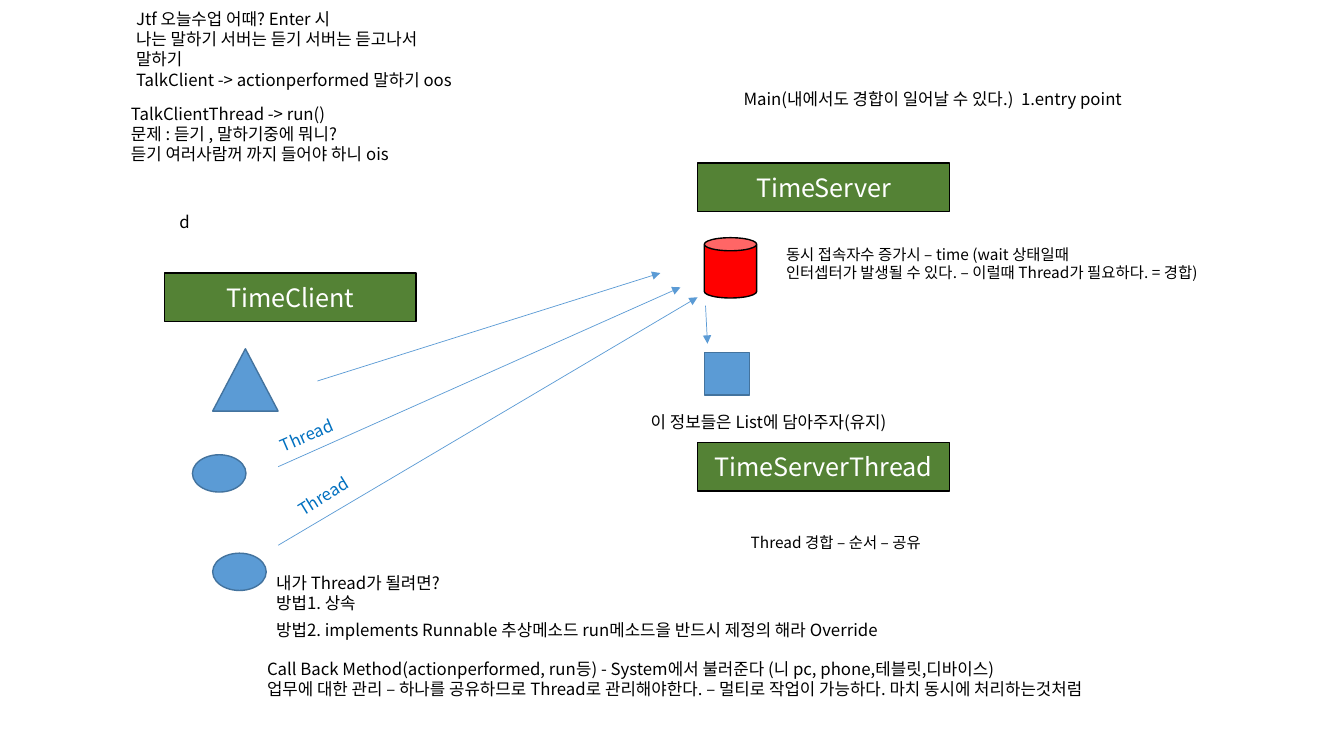
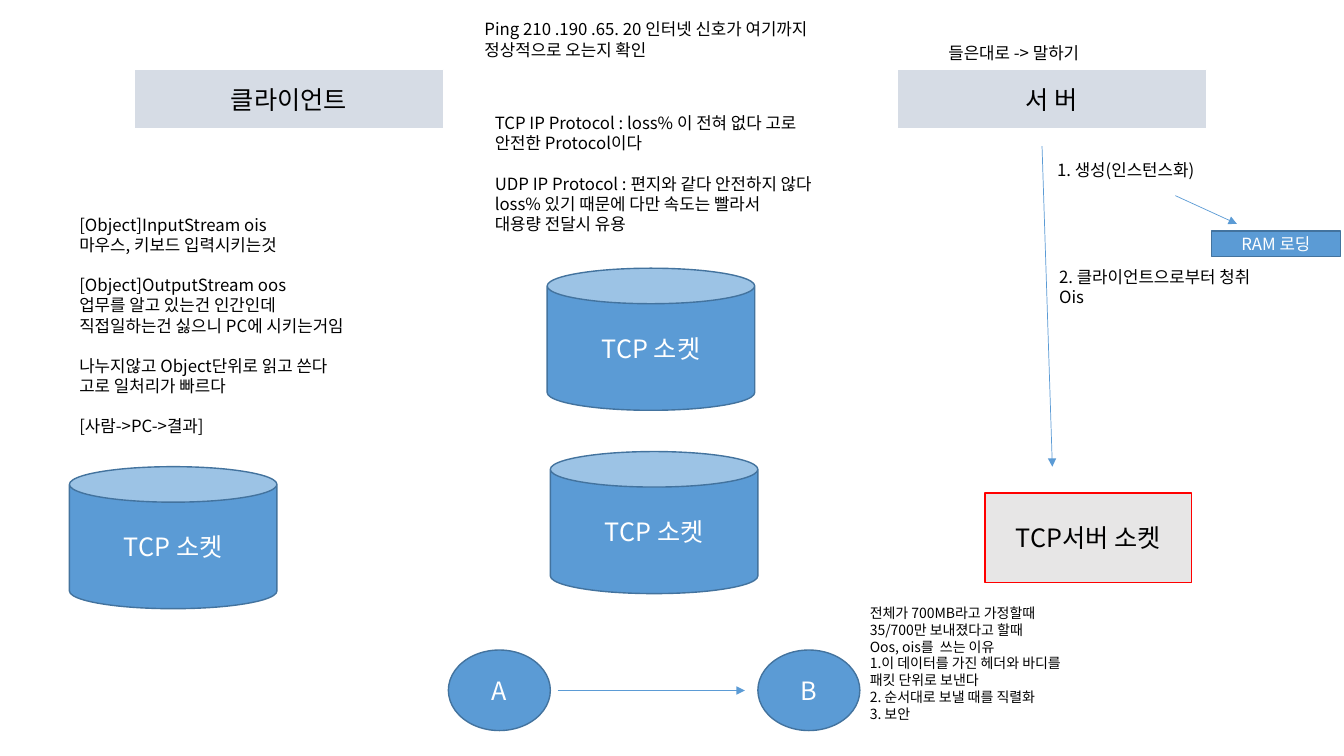
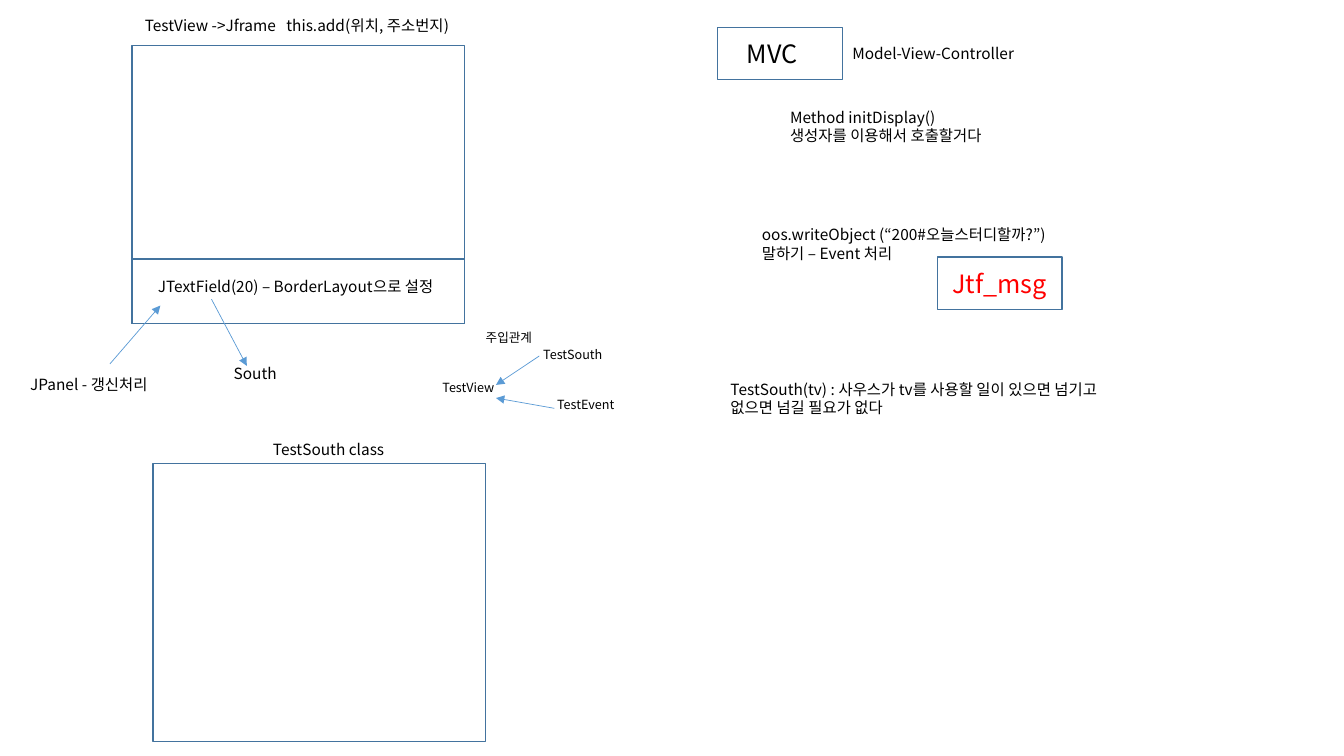
from lxml.etree import SubElement
from pptx import Presentation
from pptx.dml.color import RGBColor
from pptx.enum.shapes import MSO_CONNECTOR, MSO_SHAPE
from pptx.enum.text import MSO_ANCHOR, MSO_AUTO_SIZE, PP_ALIGN
from pptx.oxml.ns import qn
from pptx.util import Cm, Pt

FONT = "Noto Sans CJK KR"
LINE_SPACING = 1.2

BLACK = RGBColor(0x00, 0x00, 0x00)
WHITE = RGBColor(0xFF, 0xFF, 0xFF)
RED = RGBColor(0xFF, 0x00, 0x00)
GREEN = RGBColor(0x54, 0x82, 0x35)
BLUE = RGBColor(0x5B, 0x9B, 0xD5)
DARK_BLUE = RGBColor(0x43, 0x73, 0x9E)
TEXT_BLUE = RGBColor(0x00, 0x70, 0xC0)
GREY_BLUE = RGBColor(0xD6, 0xDC, 0xE5)
LIGHT_GREY = RGBColor(0xE7, 0xE6, 0xE6)


def fill_text(tf, text, size, color, align):
    """One paragraph per line; a blank line becomes space before."""
    tf.word_wrap = True
    pitch = Pt(size * LINE_SPACING)
    first = True
    for block in text.split("\n\n"):
        for i, line in enumerate(block.split("\n")):
            p = tf.paragraphs[0] if first else tf.add_paragraph()
            p.alignment = align
            p.line_spacing = pitch
            if i == 0 and not first:
                p.space_before = pitch
            first = False
            r = p.add_run()
            r.text = line
            r.font.name = FONT
            r.font.size = Pt(size)
            r.font.color.rgb = color
            SubElement(r.font._element, qn("a:ea"), typeface=FONT)


def add_note(s, x, y, w, text, size=12, color=BLACK, rows=None, rotation=0):
    rows = rows or text.count("\n") + 1
    height = Cm(0.25) + rows * Pt(size * LINE_SPACING)
    sp = s.shapes.add_textbox(Cm(x), Cm(y), Cm(w), height)
    sp.rotation = rotation
    fill_text(sp.text_frame, text, size, color, PP_ALIGN.LEFT)
    sp.text_frame.auto_size = MSO_AUTO_SIZE.SHAPE_TO_FIT_TEXT


def add_box(s, x, y, w, h, text="", kind=MSO_SHAPE.RECTANGLE, fill=BLUE,
            line=DARK_BLUE, color=WHITE, size=18):
    sp = s.shapes.add_shape(kind, Cm(x), Cm(y), Cm(w), Cm(h))
    sp.shadow.inherit = False
    sp.fill.solid()
    sp.fill.fore_color.rgb = fill
    sp.line.color.rgb = line
    sp.line.width = Pt(1)
    if text:
        sp.text_frame.vertical_anchor = MSO_ANCHOR.MIDDLE
        fill_text(sp.text_frame, text, size, color, PP_ALIGN.CENTER)


def add_arrow(s, x1, y1, x2, y2):
    c = s.shapes.add_connector(MSO_CONNECTOR.STRAIGHT, Cm(x1), Cm(y1), Cm(x2), Cm(y2))
    c.line.color.rgb = BLUE
    c.line.width = Pt(0.5)
    sp_pr = c._element.spPr
    SubElement(sp_pr.find(qn("a:ln")), qn("a:tailEnd"), type="triangle")
    SubElement(sp_pr, qn("a:effectLst"))


def add_arrows(s, *ends):
    for end in ends:
        add_arrow(s, *end)


def build_thread_slide(s):
    # Class names
    for x, y, name in ((4.14, 6.88, "TimeClient"), (17.58, 11.15, "TimeServerThread"),
                       (17.58, 4.11, "TimeServer")):
        add_box(s, x, y, 6.35, 1.22, name, fill=GREEN, line=BLACK)

    # Server and clients
    add_box(s, 17.75, 5.99, 1.32, 1.52, kind=MSO_SHAPE.CAN, fill=RED, line=BLACK)
    add_box(s, 17.75, 8.89, 1.14, 1.07)
    add_box(s, 5.36, 8.79, 1.65, 1.57, kind=MSO_SHAPE.ISOSCELES_TRIANGLE)
    for x, y in ((4.85, 11.46), (5.36, 13.94)):
        add_box(s, x, y, 1.35, 0.94, kind=MSO_SHAPE.OVAL)
    add_arrows(s, (8, 9.6, 16.64, 6.88), (17.78, 7.7, 17.83, 8.66),
               (7.01, 11.76, 17.15, 7.24), (7.01, 13.74, 17.58, 7.49))
    for x, y, angle in ((6.76, 10.49, 336.8), (7.16, 11.99, 328.6)):
        add_note(s, x, y, 2.41, "Thread", color=TEXT_BLUE, rotation=angle)

    # Server notes
    add_note(s, 19.56, 6.05, 14.3,
             "동시 접속자수 증가시 – time (wait 상태일때\n"
             "인터셉터가 발생될 수 있다. – 이럴때 Thread가 필요하다. = 경합)", 11)
    add_note(s, 18.67, 13.31, 14.3, "Thread 경합 – 순서 – 공유", 11)
    add_note(s, 18.49, 2.11, 13.77,
             "Main(내에서도 경합이 일어날 수 있다.)  1.entry point")
    add_note(s, 16.15, 10.26, 13.77, "이 정보들은 List에 담아주자(유지)")

    # Client notes
    add_note(s, 3.18, 0.1, 8.92,
             "Jtf 오늘수업 어때? Enter 시\n나는 말하기 서버는 듣기 서버는 듣고나서\n"
             "말하기\nTalkClient -> actionperformed 말하기 oos")
    add_note(s, 3.05, 2.49, 12.24,
             "TalkClientThread -> run()\n문제 : 듣기 , 말하기중에 뭐니?\n"
             "듣기 여러사람꺼 까지 들어야 하니 ois")
    add_note(s, 4.27, 5.21, 4.9, "d")
    add_note(s, 6.71, 14.3, 7.57, "내가 Thread가 될려면?\n방법1. 상속")
    add_note(s, 6.71, 15.49, 17.65,
             "방법2. implements Runnable 추상메소드 run메소드을 반드시 제정의 해라 Override")
    add_note(s, 6.48, 16.48, 25.07,
             "Call Back Method(actionperformed, run등) - System에서 불러준다 "
             "(니 pc, phone,테블릿,디바이스)\n"
             "업무에 대한 관리 – 하나를 공유하므로 Thread로 관리해야한다. – "
             "멀티로 작업이 가능하다. 마치 동시에 처리하는것처럼")


def build_socket_slide(s):
    # Headings
    for x, name in ((3.38, "클라이언트"), (22.61, "서 버")):
        add_box(s, x, 1.75, 7.8, 1.5, name, fill=GREY_BLUE, line=WHITE, color=BLACK)

    # Sockets
    for x, y in ((13.79, 6.76), (13.87, 11.38), (1.75, 11.76)):
        add_box(s, x, y, 5.23, 3.58, "TCP 소켓", MSO_SHAPE.CAN)
    add_box(s, 24.82, 12.42, 5.21, 2.26, "TCP서버 소켓", fill=LIGHT_GREY,
            line=RED, color=BLACK)
    add_box(s, 30.53, 5.82, 3.25, 0.64, "RAM 로딩", size=12)

    # Transfer from A to B
    for x, name in ((11.3, "A"), (19.1, "B")):
        add_box(s, x, 16.38, 2.57, 2.03, name, MSO_SHAPE.OVAL)
    add_arrows(s, (26.26, 3.68, 26.52, 11.76), (29.62, 4.93, 31.17, 5.64),
               (14.05, 17.4, 18.77, 17.4))

    # Notes
    add_note(s, 26.39, 3.91, 6.76, "1. 생성(인스턴스화)")
    add_note(s, 26.44, 6.6, 6.76, "2. 클라이언트으로부터 청취\nOis")
    add_note(s, 23.65, 0.94, 6.76, "들은대로 -> 말하기")
    add_note(s, 1.75, 5.28, 11.56,
             "[Object]InputStream ois\n마우스, 키보드 입력시키는것\n\n"
             "[Object]OutputStream oos\n업무를 알고 있는건 인간인데\n"
             "직접일하는건 싫으니 PC에 시키는거임\n\n"
             "나누지않고 Object단위로 읽고 쓴다\n고로 일처리가 빠르다\n\n"
             "[사람->PC->결과]")
    add_note(s, 11.96, 0.36, 9.02,
             "Ping 210 .190 .65. 20 인터넷 신호가 여기까지 정상적으로 오는지 확인", rows=2)
    add_note(s, 12.22, 2.72, 9.02,
             "TCP IP Protocol : loss% 이 전혀 없다 고로 안전한 Protocol이다\n\n"
             "UDP IP Protocol : 편지와 같다 안전하지 않다 loss% 있기 때문에 "
             "다만 속도는 빨라서\n대용량 전달시 유용", rows=6)
    add_note(s, 21.67, 15.11, 6.76,
             "전체가 700MB라고 가정할때\n35/700만 보내졌다고 할때\n"
             "Oos, ois를  쓰는 이유\n1.이 데이터를 가진 헤더와 바디를\n"
             "패킷 단위로 보낸다\n2. 순서대로 보낼 때를 직렬화\n3. 보안", 10)


def build_view_slide(s):
    # Windows and labelled boxes
    for x, y, w, h in ((18.08, 0.69, 3.15, 1.32), (3.33, 1.14, 8.38, 7.01),
                       (3.33, 6.53, 8.38, 1.62), (3.86, 11.68, 8.38, 7.01)):
        add_box(s, x, y, w, h, fill=WHITE)
    add_note(s, 18.57, 0.84, 2.16, "MVC", 18)

    # Notes
    for x, y, w, text in (
        (21.23, 0.99, 6.15, "Model-View-Controller"),
        (3.4, 0.28, 10.26, "TestView ->Jframe   this.add(위치, 주소번지)"),
        (5.64, 9.04, 6.15, "South"),
        (6.63, 10.97, 6.15, "TestSouth class"),
        (19.66, 2.59, 6.15, "Method initDisplay()\n생성자를 이용해서 호출할거다"),
        (3.73, 6.86, 7.98, "JTextField(20) – BorderLayout으로 설정"),
        (0.51, 9.32, 6.15, "JPanel - 갱신처리"),
        (18.95, 5.56, 11.48,
         "oos.writeObject (“200#오늘스터디할까?”)\n말하기 – Event 처리"),
    ):
        add_note(s, x, y, w, text, 11)
    add_note(s, 18.16, 9.45, 9.91,
             "TestSouth(tv) : 사우스가 tv를 사용할 일이 있으면 넘기고 없으면 넘길 필요가 없다",
             11, rows=2)
    add_box(s, 23.62, 6.48, 3.15, 1.32, "Jtf_msg", fill=WHITE, color=RED)

    # Class relations
    for x, y, name in ((10.9, 9.45, "TestView"), (13.44, 8.61, "TestSouth"),
                       (13.79, 9.88, "TestEvent"), (11.99, 8.2, "주입관계")):
        add_note(s, x, y, 3.58, name, 9)
    add_arrows(s, (2.77, 9.17, 4.04, 7.7), (5.33, 7.54, 6.22, 9.22),
               (13.59, 8.97, 12.5, 9.7), (13.97, 10.29, 12.5, 10.03))


def main():
    prs = Presentation()
    prs.slide_width = Cm(33.87)
    prs.slide_height = Cm(19.05)
    blank = prs.slide_layouts[6]
    for build in (build_thread_slide, build_socket_slide, build_view_slide):
        build(prs.slides.add_slide(blank))
    prs.save("out.pptx")


if __name__ == "__main__":
    main()
